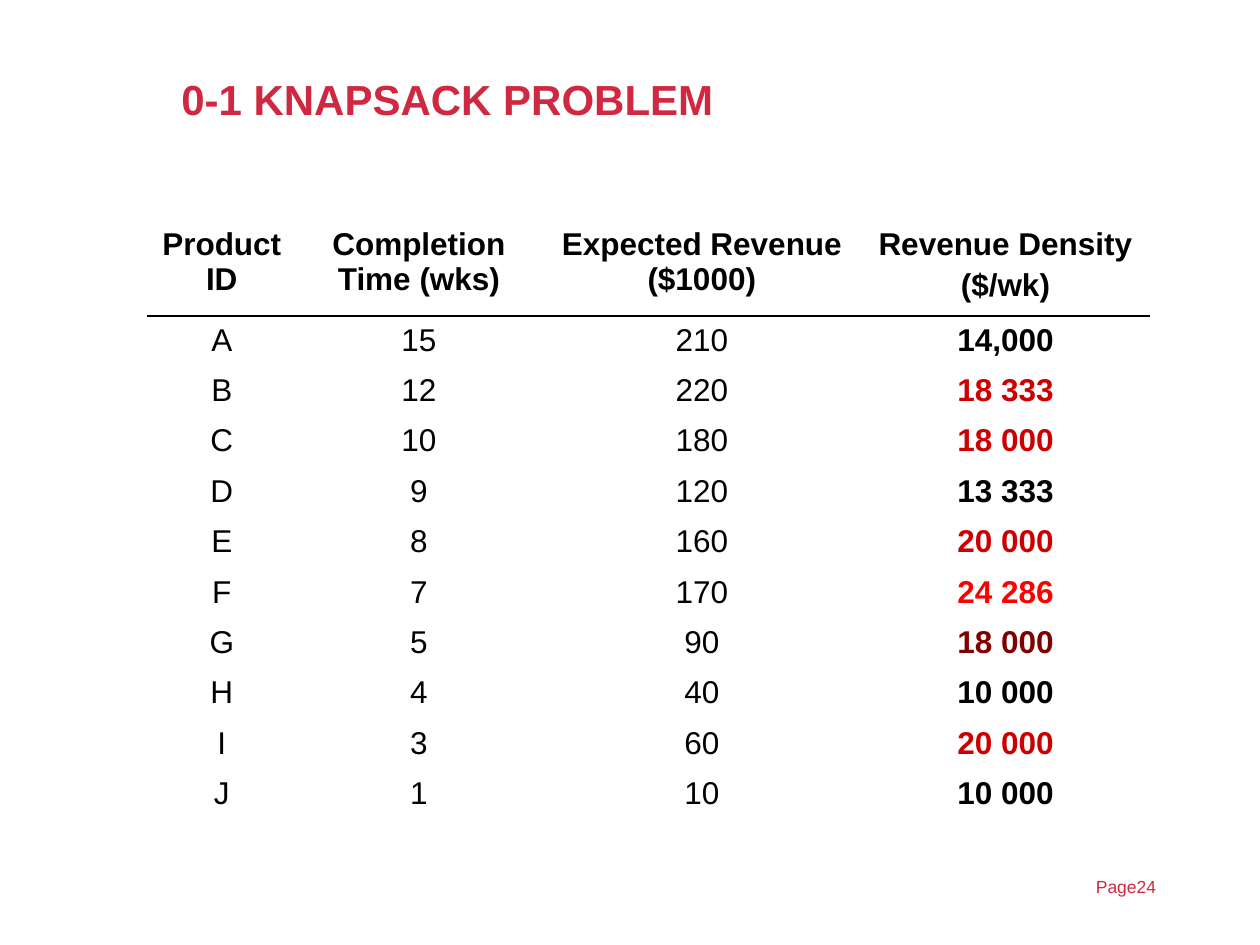
from dataclasses import dataclass

from lxml import etree
from pptx import Presentation
from pptx.dml.color import RGBColor
from pptx.enum.text import MSO_ANCHOR, PP_ALIGN
from pptx.oxml.ns import qn
from pptx.util import Inches, Pt

CENTER = PP_ALIGN.CENTER
LEFT = PP_ALIGN.LEFT
TOP = MSO_ANCHOR.TOP
MIDDLE = MSO_ANCHOR.MIDDLE

FONT = "Arial"
BLACK = "000000"
CRIMSON = "CF2941"
DARK_RED = "CC0000"
RED = "FF0000"
MAROON = "800000"

COLUMN_WIDTHS = (1.18, 1.95, 2.54, 2.28)
HEADER_HEIGHT = 0.76
ROW_HEIGHT = 0.4
HEADINGS = (
    "Product ID",
    "Completion Time (wks)",
    "Expected Revenue ($1000)",
    "Revenue Density\n($/wk)",
)


@dataclass
class Product:
    name: str
    weeks: int
    revenue: int
    density: str
    density_color: str = BLACK


@dataclass
class Label:
    text: str
    left: float
    top: float
    width: float
    height: float
    size: float
    bold: bool = False
    anchor: MSO_ANCHOR = TOP
    line_spacing: float = 1.0


PRODUCTS = (
    Product("A", 15, 210, "14,000"),
    Product("B", 12, 220, "18 333", DARK_RED),
    Product("C", 10, 180, "18 000", DARK_RED),
    Product("D", 9, 120, "13 333"),
    Product("E", 8, 160, "20 000", DARK_RED),
    Product("F", 7, 170, "24 286", RED),
    Product("G", 5, 90, "18 000", MAROON),
    Product("H", 4, 40, "10 000"),
    Product("I", 3, 60, "20 000", DARK_RED),
    Product("J", 1, 10, "10 000"),
)
LABELS = (
    Label("Page24", 8.6, 6.9, 1.2, 0.28, 10),
    Label("0-1 KNAPSACK PROBLEM", 1.34, 0.4, 7.98, 0.82, 24, True, MIDDLE, 0.9),
)


def rgb(color: str) -> RGBColor:
    return RGBColor.from_string(color)


def write_text(frame, text: str, size: float, color: str, bold: bool, alignment) -> None:
    frame.text = text
    for index, paragraph in enumerate(frame.paragraphs):
        paragraph.alignment = alignment
        paragraph.font.name = FONT
        paragraph.font.size = Pt(size)
        paragraph.font.bold = bold
        paragraph.font.color.rgb = rgb(color)
        if index > 0:
            paragraph.space_before = Pt(size * 0.2)


def add_label(slide, label: Label) -> None:
    shape = slide.shapes.add_textbox(
        Inches(label.left), Inches(label.top), Inches(label.width), Inches(label.height)
    )
    frame = shape.text_frame
    frame.word_wrap = True
    frame.vertical_anchor = label.anchor
    write_text(frame, label.text, label.size, CRIMSON, label.bold, LEFT)
    frame.paragraphs[0].line_spacing = label.line_spacing


def fill_cell(cell, text: str, color: str = BLACK, bold: bool = False) -> None:
    cell.fill.background()
    write_text(cell.text_frame, text, 18, color, bold, CENTER)


def add_border(cell, side: str) -> None:
    line = etree.Element(qn(f"a:{side}"), w=str(Pt(1)))
    fill = etree.SubElement(line, qn("a:solidFill"))
    etree.SubElement(fill, qn("a:srgbClr"), val=BLACK)
    cell._tc.get_or_add_tcPr().insert(0, line)


def add_product_table(slide) -> None:
    row_count = len(PRODUCTS) + 1
    height = HEADER_HEIGHT + ROW_HEIGHT * len(PRODUCTS)
    table = slide.shapes.add_table(
        row_count,
        len(HEADINGS),
        Inches(1.17),
        Inches(1.75),
        Inches(sum(COLUMN_WIDTHS)),
        Inches(height),
    ).table
    table.first_row = False
    table.horz_banding = False
    for column, width in zip(table.columns, COLUMN_WIDTHS):
        column.width = Inches(width)
    for index, row in enumerate(table.rows):
        row.height = Inches(ROW_HEIGHT if index else HEADER_HEIGHT)

    for column, heading in enumerate(HEADINGS):
        fill_cell(table.cell(0, column), heading, bold=True)
    for row, product in enumerate(PRODUCTS, 1):
        values = (product.name, product.weeks, product.revenue)
        for column, value in enumerate(values):
            fill_cell(table.cell(row, column), str(value))
        fill_cell(table.cell(row, 3), product.density, product.density_color, True)
    for column in range(len(HEADINGS)):
        add_border(table.cell(0, column), "lnB")
        add_border(table.cell(1, column), "lnT")


def main() -> None:
    presentation = Presentation()
    presentation.slide_width = Inches(10)
    presentation.slide_height = Inches(7.5)
    slide = presentation.slides.add_slide(presentation.slide_layouts[6])
    add_product_table(slide)
    for label in LABELS:
        add_label(slide, label)
    presentation.save("out.pptx")


if __name__ == "__main__":
    main()
